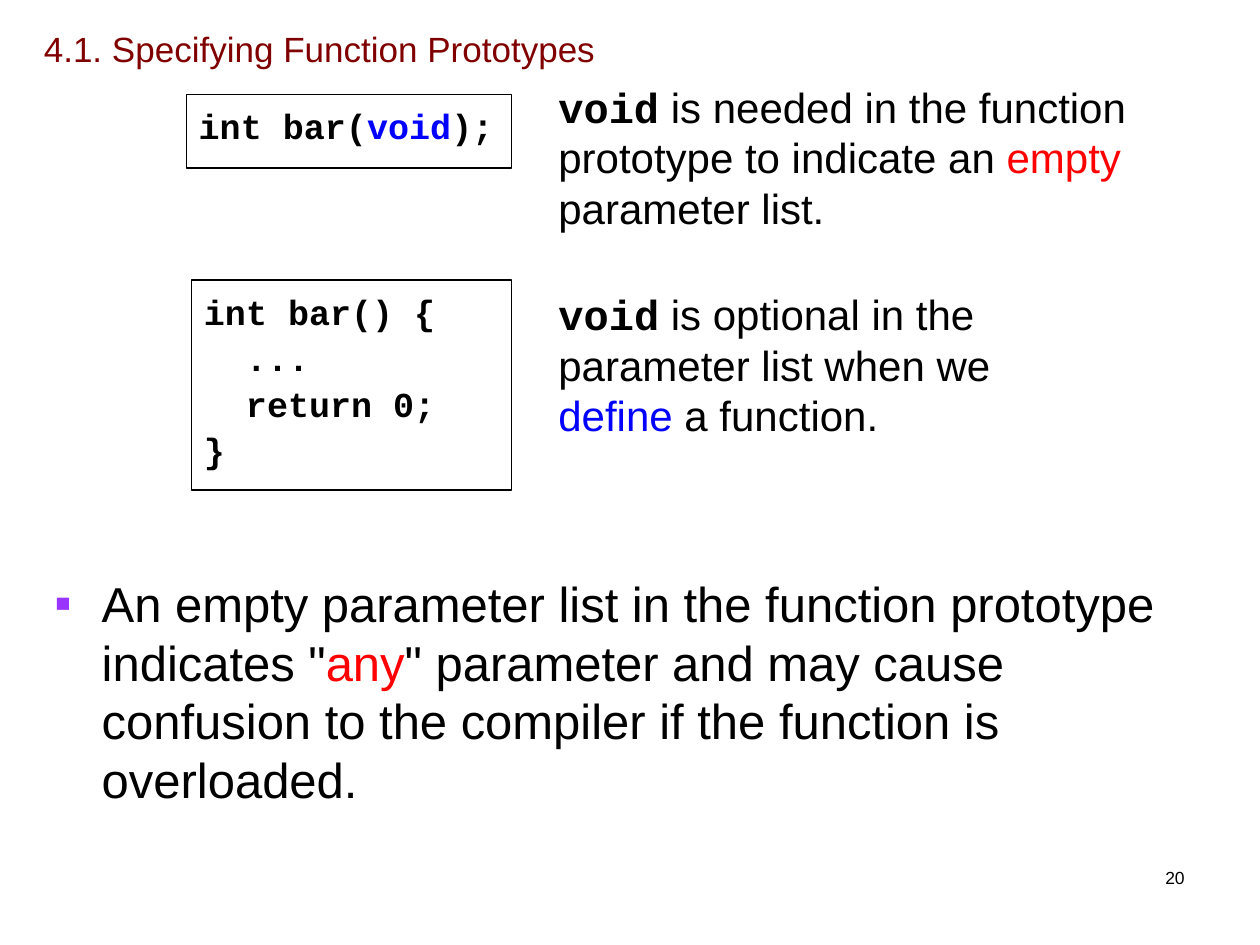
from dataclasses import dataclass
from typing import Optional

from lxml.etree import SubElement
from pptx import Presentation
from pptx.dml.color import RGBColor
from pptx.enum.shapes import MSO_SHAPE
from pptx.enum.text import MSO_ANCHOR, PP_ALIGN
from pptx.oxml.ns import qn
from pptx.util import Pt

COLORS = {
    "title": "800000",
    "text": "000000",
    "code_fill": "FFFFFF",
    "blue": "0000FF",
    "red": "FF0000",
    "bullet": "9933FF",
}
BODY_FONT = "Arial"
CODE_FONT = "Courier New"
CODE_INDENT = 24


@dataclass
class Run:
    text: str
    color: str = "text"
    code: bool = False


@dataclass
class Line:
    runs: list[Run]
    indent: float = 0


@dataclass
class Block:
    left: float
    top: float
    width: float
    height: float
    lines: list[Line]


def rgb(name: str) -> RGBColor:
    return RGBColor.from_string(COLORS[name])


def write_text(frame, lines: list[Line], *, size: float, align=PP_ALIGN.LEFT,
               anchor=MSO_ANCHOR.TOP, spacing: Optional[float] = None,
               before: float = 0, bullet: str = "", hanging: float = 0) -> None:
    frame.word_wrap = True
    frame.vertical_anchor = anchor
    for index, line in enumerate(lines):
        paragraph = frame.paragraphs[0] if index == 0 else frame.add_paragraph()
        paragraph.alignment = align
        paragraph.space_before = Pt(before)
        if spacing:
            paragraph.line_spacing = spacing
        properties = paragraph._p.get_or_add_pPr()
        properties.set("marL", str(Pt(line.indent + hanging)))
        properties.set("indent", str(Pt(-hanging)))
        if bullet:
            bullet_color = SubElement(properties, qn("a:buClr"))
            SubElement(bullet_color, qn("a:srgbClr"), val=COLORS["bullet"])
            SubElement(properties, qn("a:buFont"), typeface=BODY_FONT)
            SubElement(properties, qn("a:buChar"), char=bullet)
        for part in line.runs:
            run = paragraph.add_run()
            run.text = part.text
            run.font.size = Pt(size)
            run.font.name = CODE_FONT if part.code else BODY_FONT
            run.font.bold = part.code
            run.font.color.rgb = rgb(part.color)


def add_text(slide, block: Block, **text_format) -> None:
    box = slide.shapes.add_textbox(
        Pt(block.left), Pt(block.top), Pt(block.width), Pt(block.height))
    write_text(box.text_frame, block.lines, **text_format)


def add_code(slide, block: Block) -> None:
    panel = slide.shapes.add_shape(
        MSO_SHAPE.RECTANGLE,
        Pt(block.left), Pt(block.top), Pt(block.width), Pt(block.height))
    panel.shadow.inherit = False
    panel.fill.solid()
    panel.fill.fore_color.rgb = rgb("code_fill")
    panel.line.color.rgb = rgb("text")
    panel.line.width = Pt(0.75)
    write_text(panel.text_frame, block.lines, size=20, spacing=1.1)


TITLE = Block(18, 13, 431.5, 29, [
    Line([Run("4.1. Specifying Function Prototypes", "title")])])

WARNING = Block(24, 324, 672, 168, [Line([
    Run('An empty parameter list in the function prototype indicates "'),
    Run("any", "red"),
    Run('" parameter and may cause confusion to the compiler '
        "if the function is overloaded."),
])])

CODE_SAMPLES = [
    Block(109.5, 160, 183, 120, [
        Line([Run("int bar() {", code=True)]),
        Line([Run("...", code=True)], CODE_INDENT),
        Line([Run("return 0;", code=True)], CODE_INDENT),
        Line([Run("}", code=True)]),
    ]),
    Block(106.5, 54, 186, 42, [Line([
        Run("int bar(", code=True),
        Run("void", "blue", code=True),
        Run(");", code=True),
    ])]),
]

EXPLANATIONS = [
    Block(312, 161.5, 306, 129, [Line([
        Run("void", code=True),
        Run(" is optional in the parameter list when we "),
        Run("define", "blue"),
        Run(" a function."),
    ])]),
    Block(312, 43, 354, 117.5, [Line([
        Run("void", code=True),
        Run(" is needed in the function prototype to indicate an "),
        Run("empty", "red"),
        Run(" parameter list."),
    ])]),
]

PAGE_NUMBER = Block(516, 492, 168, 36, [Line([Run("20")])])


def main() -> None:
    presentation = Presentation()
    presentation.slide_width = Pt(720)
    presentation.slide_height = Pt(540)
    slide = presentation.slides.add_slide(presentation.slide_layouts[6])

    add_text(slide, TITLE, size=20, anchor=MSO_ANCHOR.MIDDLE)
    add_text(slide, WARNING, size=28, before=7, bullet="▪", hanging=27)
    for sample in CODE_SAMPLES:
        add_code(slide, sample)
    for explanation in EXPLANATIONS:
        add_text(slide, explanation, size=24)
    add_text(slide, PAGE_NUMBER, size=10, align=PP_ALIGN.RIGHT)

    presentation.save("out.pptx")


if __name__ == "__main__":
    main()
